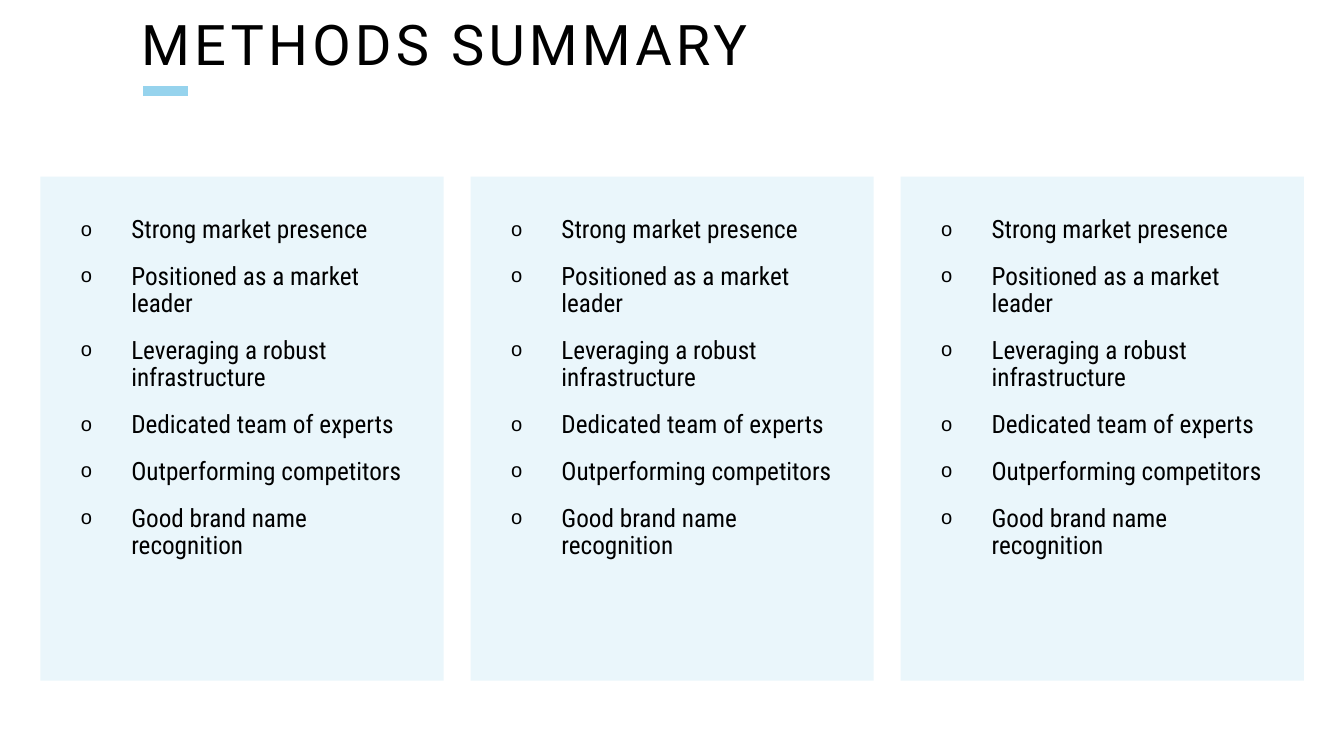
import pptx
import pptx.dml.color
import pptx.enum.shapes
import pptx.enum.text
import pptx.oxml
import pptx.oxml.ns
import pptx.util
from lxml import etree
from pptx.util import Cm

POINTS = [
    "Strong market presence",
    "Positioned as a market leader",
    "Leveraging a robust infrastructure",
    "Dedicated team of experts",
    "Outperforming competitors",
    "Good brand name recognition",
]
BULLET = (
    ("buClr", {}),
    ("buSzPct", {"val": "80000"}),
    ("buFont", {"typeface": "Arial"}),
    ("buChar", {"char": "o"}),
)


def rgb(color):
    return pptx.dml.color.RGBColor.from_string(color)


def write(tf, text, size, font, color="000000", before=0, spacing=0, inset=0, bullet=False):
    """Fill a text frame with one paragraph for each line of text."""
    tf.word_wrap = True
    tf.vertical_anchor = pptx.enum.text.MSO_ANCHOR.TOP
    tf.margin_left = tf.margin_right = tf.margin_top = tf.margin_bottom = Cm(inset)
    for i, line in enumerate(text.split("\n")):
        p = tf.add_paragraph() if i else tf.paragraphs[0]
        p.alignment = pptx.enum.text.PP_ALIGN.LEFT
        p.line_spacing = 0.9
        p.space_before = pptx.util.Pt(before)
        r = p.add_run()
        r.text = line
        r.font.size = pptx.util.Pt(size)
        r.font.name = font
        r.font.color.rgb = rgb(color)
        if spacing:
            r._r.get_or_add_rPr().set("spc", str(spacing * 100))
        if bullet:
            pPr = p._p.get_or_add_pPr()
            pPr.set("marL", str(Cm(1.27)))
            pPr.set("indent", str(Cm(-1.27)))
            for tag, attrs in BULLET:
                mark = etree.SubElement(pPr, pptx.oxml.ns.qn("a:" + tag), attrs)
                if tag == "buClr":
                    etree.SubElement(mark, pptx.oxml.ns.qn("a:srgbClr"), {"val": color})


prs = pptx.Presentation()
prs.slide_width, prs.slide_height = Cm(33.87), Cm(19.05)
s = prs.slides.add_slide(prs.slide_layouts[6])

# Title and its accent line
accent = s.shapes.add_connector(
    pptx.enum.shapes.MSO_CONNECTOR.STRAIGHT, Cm(3.61), Cm(2.3), Cm(4.75), Cm(2.3))
accent.line.color.rgb = rgb("96D3ED")
accent.line.width = pptx.util.Pt(7)
etree.SubElement(accent._element.spPr, pptx.oxml.ns.qn("a:effectLst"))

title = s.shapes.add_textbox(Cm(3.56), Cm(0.43), Cm(27.28), Cm(2.54))
write(title.text_frame, "METHODS SUMMARY", size=40, font="Roboto", spacing=3)

# Three equal panels
for column in range(3):
    panel = s.shapes.add_shape(
        pptx.enum.shapes.MSO_SHAPE.RECTANGLE,
        Cm(1.02 + 10.84 * column), Cm(4.45), Cm(10.16), Cm(12.7))
    panel.shadow.inherit = False
    panel.fill.solid()
    panel.fill.fore_color.rgb = rgb("EAF6FB")
    panel.line.fill.background()
    write(panel.text_frame, "\n".join(POINTS), size=18, font="Roboto Condensed",
          before=14, inset=1.02, bullet=True)

prs.save("out.pptx")
